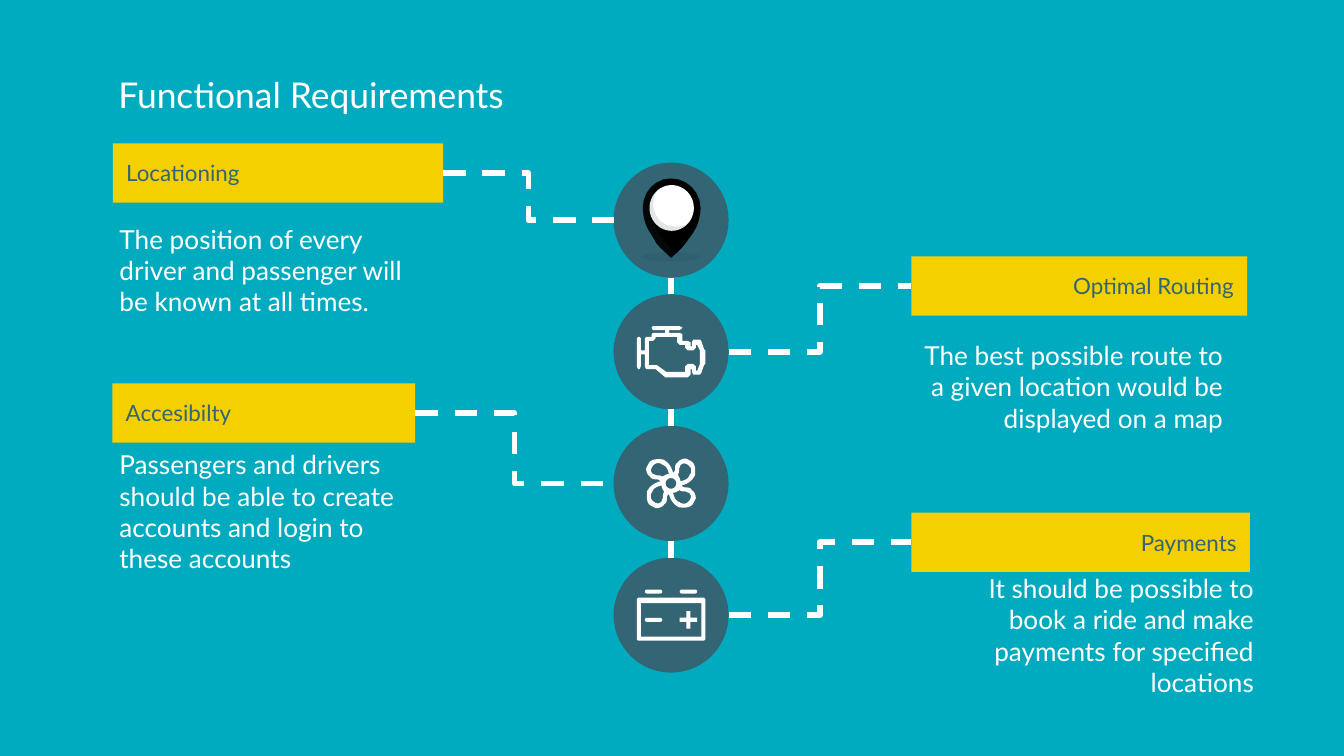
from dataclasses import dataclass

from lxml import etree
from pptx import Presentation
from pptx.dml.color import RGBColor
from pptx.enum.dml import MSO_LINE
from pptx.enum.shapes import MSO_CONNECTOR, MSO_SHAPE
from pptx.enum.text import MSO_ANCHOR, MSO_AUTO_SIZE, PP_ALIGN
from pptx.oxml.ns import qn
from pptx.util import Pt

RECTANGLE, ELLIPSE, CAPSULE = MSO_SHAPE.RECTANGLE, MSO_SHAPE.OVAL, MSO_SHAPE.ROUNDED_RECTANGLE
STRAIGHT, ELBOW = MSO_CONNECTOR.STRAIGHT, MSO_CONNECTOR.ELBOW
DASH = MSO_LINE.DASH
LEFT, RIGHT = PP_ALIGN.LEFT, PP_ALIGN.RIGHT
TOP, MIDDLE = MSO_ANCHOR.TOP, MSO_ANCHOR.MIDDLE
NO_AUTOFIT = MSO_AUTO_SIZE.NONE


@dataclass(frozen=True)
class Theme:
    font: str = "Lato"
    background: str = "00ABBF"
    label: str = "F4D000"
    disc: str = "336574"
    light: str = "FFFFFF"
    pin: str = "000000"
    shade: str = "1F424C"
    shade_opacity: int = 13
    title_size: int = 19
    label_size: int = 12
    body_size: int = 14
    line_width: int = 3
    inset: float = 7.2


# Layout, in points
TITLE_BOX = (56.2, 31.7, 607.7, 45.4)
CENTRE_X, FIRST_CENTRE_Y, DISC_STEP = 359.5, 117.9, 70.55
DISC_SIZE = 61.6
LABEL_HEIGHT, BODY_HEIGHT = 31.8, 41
ICON_UNIT = 0.72

# label, body, alignment, label left, label top, width, body left, body top
FEATURES = [
    ("Locationing", "The position of every driver and passenger will be known at all times.",
     LEFT, 60.5, 76.8, 176.9, 56.9, 124.2),
    ("Optimal Routing", "The best possible route to a given location would be displayed on a map",
     RIGHT, 488.2, 137.3, 180, 482.4, 186.5),
    ("Accesibilty", "Passengers and drivers should be able to create accounts and login to these accounts",
     LEFT, 60.3, 205.4, 162.2, 56.9, 253.5),
    ("Payments", "It should be possible to book a ride and make payments for specified locations",
     RIGHT, 488.2, 274.6, 181.4, 497.5, 319.7),
]

# Icon outlines in icon units: a pair is a corner, six numbers are a Bezier curve
ENGINE = [
    [(30, 8), (30, 12), (32, 14), (36, 14), (36, 16), (38, 18), (42, 18), (44, 16), (44, 14),
     (45, 14), (47, 18), (47, 28), (45, 33), (44, 33), (44, 30), (42, 28), (38, 28), (36, 30),
     (36, 34), (22, 34), (15, 29), (9, 29), (9, 11), (12, 11), (14, 9), (14, 8)],
    [(12, 0), (11, 1), (12, 3), (21, 3), (21, 5), (12, 5), (11, 6), (11, 8), (7, 8), (6, 9),
     (6, 18), (3, 18), (3, 9), (2, 8), (1, 8), (0, 9), (0, 30), (1, 32), (2, 32), (3, 30),
     (3, 21), (6, 21), (6, 30), (7, 32), (14, 32), (20, 37), (21, 38), (38, 38), (40, 36),
     (40, 32), (41, 32), (41, 34), (42, 36), (47, 36), (48, 35), (50, 29), (51, 28), (51, 18),
     (50, 17), (48, 11), (47, 10), (42, 10), (41, 12), (41, 15), (40, 15), (40, 12), (38, 11),
     (34, 11), (34, 6), (32, 5), (24, 5), (24, 3), (32, 3), (34, 1), (32, 0)],
]
BLADE_EDGE = [(1.5, -8), (0.5, -12, -1.5, -15, -4.5, -17), (-5.5, -18, -7.5, -18, -9.5, -18),
              (-10.5, -18, -12.5, -18, -14.5, -17), (-16.5, -16, -17.5, -13, -18.5, -11),
              (-18.5, -9, -17.5, -6, -15.5, -5), (-14.5, -3, -12.5, -3, -10.5, -3),
              (-9.5, -3, -8.5, -2.5, -8, -1.5)]
BLADE_HOLE = [(-9.5, -15), (-8.5, -15, -7.5, -15, -6.5, -14), (-3.5, -13, -2.5, -11, -1.5, -7),
              (-3.5, -7, -4.5, -6, -6.5, -5), (-7.5, -6, -8.5, -6, -10.5, -6),
              (-11.5, -6, -12.5, -7, -13.5, -7), (-14.5, -8, -15.5, -10, -14.5, -11),
              (-14.5, -12, -13.5, -13, -12.5, -14), (-11.5, -15, -10.5, -15, -9.5, -15)]
HUB_CURVE = [(0, -4), (-2.2, -4, -4, -2.2, -4, 0)]
BATTERY_CASE = [[(3, 10), (48, 10), (48, 35), (3, 35)],
                [(1, 6), (0, 7), (0, 37), (1, 38), (50, 38), (51, 37), (51, 7), (50, 6)]]
BATTERY_PLUS = [[(37, 16), (40, 16), (40, 21), (45, 21), (45, 24), (40, 24), (40, 29), (37, 29),
                 (37, 24), (32, 24), (32, 21), (37, 21)]]
PIN_LEFT = [(0, 26, 1, 31, 3, 36), (5, 40, 8, 44, 10, 48), (13, 52, 17, 55, 21, 59)]
PIN_BODY = [(21, 0), (9, 0, 0, 10, 0, 22), *PIN_LEFT, (26, 55, 29, 52, 32, 48),
            (35, 44, 38, 40, 40, 36), (42, 31, 43, 26, 43, 22), (43, 10, 33, 0, 21, 0)]
PIN_SIDE = [(16, 0), (6, 3, 0, 12, 0, 22), *PIN_LEFT, (25, 56), (21, 53, 18, 49, 15, 45),
            (12, 42, 10, 38, 8, 34), (6, 29, 5, 24, 5, 20), (5, 12, 9, 4, 16, 0)]
PIN_CRESCENT = [(11, 8), (3, 15, 2, 27, 10, 34), (13, 38, 17, 39, 21, 39),
                (26, 39, 31, 37, 34, 33), (32, 35, 28, 36, 24, 36), (10, 36, 3, 20, 11, 8)]


def trace(segments, steps=6):
    """Turn corners and Bezier curves into a list of points."""
    points = []
    for segment in segments:
        if len(segment) == 2:
            points.append(segment)
            continue
        controls = [points[-1], segment[:2], segment[2:4], segment[4:]]
        for step in range(1, steps + 1):
            t = step / steps
            weights = ((1 - t) ** 3, 3 * t * (1 - t) ** 2, 3 * t * t * (1 - t), t ** 3)
            points.append(tuple(sum(w * c[axis] for w, c in zip(weights, controls))
                                for axis in (0, 1)))
    return points


def quarter_turns(segments):
    """Return the traced points in four positions, each a quarter turn on."""
    turns = [trace(segments)]
    for _ in range(3):
        turns.append([(y, -x) for x, y in turns[-1]])
    return turns


class SlideBuilder:
    def __init__(self, slide, theme):
        self.slide, self.theme = slide, theme
        slide.background.fill.solid()
        slide.background.fill.fore_color.rgb = RGBColor.from_string(theme.background)

    def paint(self, shape, color, opacity=100):
        shape.shadow.inherit = False
        shape.line.fill.background()
        shape.fill.solid()
        shape.fill.fore_color.rgb = RGBColor.from_string(color)
        if opacity < 100:
            color_element = shape._element.spPr.find(qn("a:solidFill"))[0]
            etree.SubElement(color_element, qn("a:alpha"), val=str(opacity * 1000))

    def set_text(self, shape, text, size, color, alignment=LEFT, anchor=MIDDLE):
        frame = shape.text_frame
        frame.word_wrap, frame.auto_size, frame.vertical_anchor = True, NO_AUTOFIT, anchor
        frame.margin_left = frame.margin_right = Pt(self.theme.inset)
        frame.margin_top = frame.margin_bottom = Pt(self.theme.inset)
        paragraph = frame.paragraphs[0]
        paragraph.alignment = alignment
        run = paragraph.add_run()
        run.text = text
        run.font.name, run.font.size = self.theme.font, Pt(size)
        run.font.color.rgb = RGBColor.from_string(color)

    def title(self, text, box):
        shape = self.slide.shapes.title
        shape.left, shape.top, shape.width, shape.height = map(Pt, box)
        self.set_text(shape, text, self.theme.title_size, self.theme.light, anchor=TOP)

    def shape(self, kind, box, color, opacity=100):
        shape = self.slide.shapes.add_shape(kind, *map(Pt, box))
        self.paint(shape, color, opacity)
        return shape

    def text(self, text, box, alignment):
        shape = self.slide.shapes.add_textbox(*map(Pt, box))
        self.set_text(shape, text, self.theme.body_size, self.theme.light, alignment)

    def connector(self, kind, start, end, dash=None):
        connector = self.slide.shapes.add_connector(kind, *map(Pt, (*start, *end)))
        connector.line.color.rgb = RGBColor.from_string(self.theme.light)
        connector.line.width = Pt(self.theme.line_width)
        if dash:
            connector.line.dash_style = dash
        etree.SubElement(connector._element.spPr, qn("a:effectLst"))

    def outline(self, contours, origin, color, opacity=100):
        placed = [[tuple(Pt(o + v * ICON_UNIT) for o, v in zip(origin, point))
                   for point in contour] for contour in contours]
        builder = self.slide.shapes.build_freeform(*placed[0][0])
        for index, contour in enumerate(placed):
            if index:
                builder.move_to(*contour[0])
            builder.add_line_segments(contour[1:], close=True)
        self.paint(builder.convert_to_shape(), color, opacity)

    def icon_shape(self, kind, origin, box, color, opacity=100):
        left, top, width, height = (value * ICON_UNIT for value in box)
        return self.shape(kind, (origin[0] + left, origin[1] + top, width, height), color, opacity)


def main():
    theme = Theme()
    presentation = Presentation()
    presentation.slide_width, presentation.slide_height = Pt(720), Pt(405)
    builder = SlideBuilder(presentation.slides.add_slide(presentation.slide_layouts[5]), theme)
    builder.title("Functional Requirements", TITLE_BOX)

    # Discs, feature labels, descriptions and connectors
    radius = DISC_SIZE / 2
    centres = [FIRST_CENTRE_Y + index * DISC_STEP for index in range(len(FEATURES))]
    for centre, feature in zip(centres, FEATURES):
        label, body, alignment, left, top, width, body_left, body_top = feature
        builder.shape(ELLIPSE, (CENTRE_X - radius, centre - radius, DISC_SIZE, DISC_SIZE), theme.disc)
        bar = builder.shape(RECTANGLE, (left, top, width, LABEL_HEIGHT), theme.label)
        builder.set_text(bar, label, theme.label_size, theme.disc, alignment)
        builder.text(body, (body_left, body_top, width, BODY_HEIGHT), alignment)
        label_y = top + LABEL_HEIGHT / 2
        if alignment == LEFT:
            builder.connector(ELBOW, (left + width, label_y), (CENTRE_X - radius, centre), DASH)
        else:
            builder.connector(ELBOW, (CENTRE_X + radius, centre), (left, label_y), DASH)
    for upper, lower in zip(centres, centres[1:]):
        builder.connector(STRAIGHT, (CENTRE_X, upper + radius), (CENTRE_X, lower - radius))

    # Icons, each centred on its disc
    icon_sizes = [(42, 62), (51, 38), (0, 0), (51, 38)]
    pin, engine, fan, battery = [
        (CENTRE_X - width * ICON_UNIT / 2, centre - height * ICON_UNIT / 2)
        for centre, (width, height) in zip(centres, icon_sizes)]

    builder.icon_shape(ELLIPSE, pin, (-1, 55, 44, 7), theme.shade, theme.shade_opacity)
    builder.outline([trace(PIN_BODY)], pin, theme.pin)
    builder.outline([trace(PIN_SIDE)], pin, theme.shade, theme.shade_opacity)
    builder.icon_shape(ELLIPSE, pin, (5, 5, 33, 34), theme.light)
    builder.outline([trace(PIN_CRESCENT)], pin, theme.shade, theme.shade_opacity)

    builder.outline(ENGINE, engine, theme.light)

    fan_edge, hub = [sum(quarter_turns(part), []) for part in (BLADE_EDGE, HUB_CURVE)]
    builder.outline([fan_edge, hub, *quarter_turns(BLADE_HOLE)], fan, theme.light)

    builder.outline(BATTERY_CASE, battery, theme.light)
    builder.outline(BATTERY_PLUS, battery, theme.light)
    for left, top in ((6, 21), (6, 0), (32, 0)):
        builder.icon_shape(CAPSULE, battery, (left, top, 13, 3), theme.light).adjustments[0] = 0.5

    presentation.save("out.pptx")


if __name__ == "__main__":
    main()
